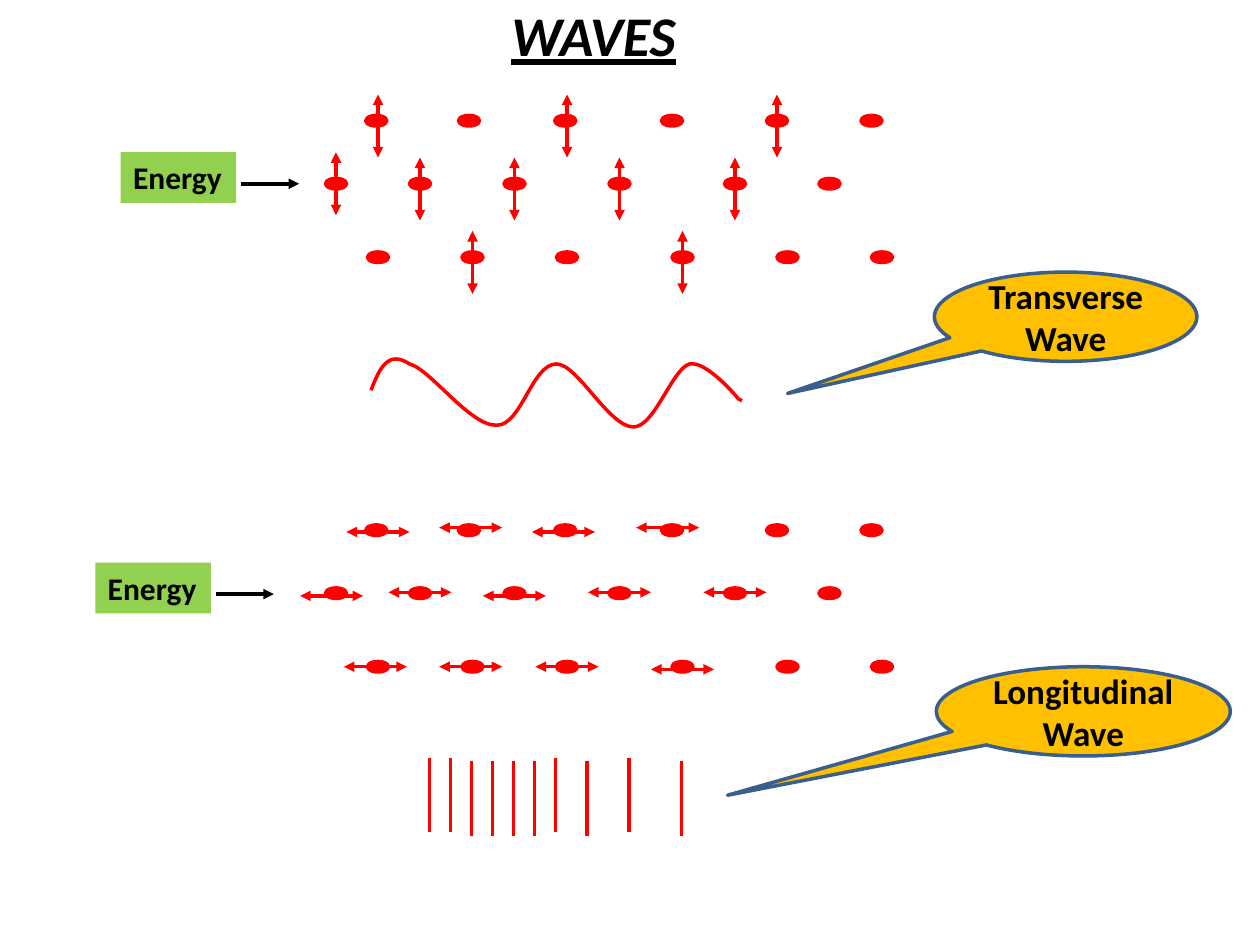
"""Build a slide comparing transverse and longitudinal waves."""
from lxml import etree
from pptx import Presentation
from pptx.dml.color import RGBColor
from pptx.enum.shapes import MSO_CONNECTOR, MSO_SHAPE
from pptx.enum.text import MSO_ANCHOR, PP_ALIGN
from pptx.oxml.ns import qn
from pptx.util import Pt

LINE = MSO_CONNECTOR.STRAIGHT
DOT, BOX, CALL = MSO_SHAPE.OVAL, MSO_SHAPE.RECTANGLE, MSO_SHAPE.OVAL_CALLOUT
TOP, MID = MSO_ANCHOR.TOP, MSO_ANCHOR.MIDDLE
LEFT, MIDDLE = PP_ALIGN.LEFT, PP_ALIGN.CENTER
HEX = {"red": "FF0000", "green": "92D050", "gold": "FFC000",
       "blue": "3A5F8C", "black": "000000"}
COLOR = {name: RGBColor.from_string(code) for name, code in HEX.items()}

prs = Presentation()
prs.slide_width, prs.slide_height = Pt(720), Pt(540)
slide = prs.slides.add_slide(prs.slide_layouts[5])
shapes = slide.shapes


def add_line(x1, y1, x2, y2, color, ends=()):
    line = shapes.add_connector(LINE, Pt(x1), Pt(y1), Pt(x2), Pt(y2))
    line.line.color.rgb = COLOR[color]
    line.line.width = Pt(2)
    for end in ends:
        etree.SubElement(line.line._get_or_add_ln(), qn(f"a:{end}"), type="triangle")
    etree.SubElement(line._element.spPr, qn("a:effectLst"))


def add_shape(kind, x, y, w, h, fill, edge=None, text="", size=18, align=LEFT, anchor=TOP):
    shape = shapes.add_shape(kind, Pt(x), Pt(y), Pt(w), Pt(h))
    shape.shadow.inherit = False
    shape.fill.solid()
    shape.fill.fore_color.rgb = COLOR[fill]
    if edge:
        shape.line.color.rgb = COLOR[edge]
        shape.line.width = Pt(2)
    else:
        shape.line.fill.background()
    if text:
        shape.text_frame.text = text
        shape.text_frame.vertical_anchor = anchor
        para = shape.text_frame.paragraphs[0]
        para.alignment = align
        para.font.name, para.font.size, para.font.bold = "Calibri", Pt(size), True
        para.font.color.rgb = COLOR["black"]
    return shape


rows = {69: (215, 268, 323, 384, 444, 498),
        105: (192, 240, 294, 354, 420, 474),
        147: (216, 270, 324, 390, 450, 504)}
for drop in (0, 234):
    for y, row in rows.items():
        for x in row:
            add_shape(DOT, x - 6, y + drop - 3, 12, 6, "red", "red")

for x, y in ((69, 87), (54.5, 321.5)):
    add_shape(BOX, x, y, 66, 29, "green", text="Energy")
    add_line(x + 69, y + 18, x + 102, y + 18, "black", ["tailEnd"])

both = ("headEnd", "tailEnd")
tall = {72: (216, 324, 444), 105: (192,), 108: (240, 294, 354, 420), 150: (270, 390)}
for y, row in tall.items():
    for x in row:
        add_line(x, y - 18, x, y + 18, "red", both)

wide = {301.5: (269, 381.5), 304: (216, 322), 338.5: (240, 354, 420),
        340.5: (189.5, 294), 381: (214.5, 269, 324), 382.5: (390,)}
for y, row in wide.items():
    for x in row:
        add_line(x - 18, y, x + 18, y, "red", both)

curve = [(216.7, 209.5), (222, 200), (234, 208), (246, 211), (269, 243.5),
         (283.5, 243), (297.5, 243), (304.5, 207.5), (317.5, 207.5),
         (330.5, 207.5), (348.5, 243.5), (361.5, 243.5), (374.5, 243.5),
         (384.5, 211), (394.5, 208.5), (404.5, 206), (422, 227.5), (422, 227.5)]
curve = [(211.7, 223), *curve, (424, 229)]
path = shapes.build_freeform(curve[0][0], curve[0][1], scale=Pt(1))
path.add_line_segments(curve[1:], close=False)
wave = path.convert_to_shape()
wave.shadow.inherit = False
wave.fill.background()
wave.line.color.rgb = COLOR["red"]
wave.line.width = Pt(2)
steps = list(wave._element.iter(qn("a:lnTo")))
for i in range(0, 18, 3):
    bend = etree.Element(qn("a:cubicBezTo"))
    steps[i].addprevious(bend)
    for step in steps[i:i + 3]:
        bend.append(step[0])
        step.getparent().remove(step)

bars = [245.5 + 12 * i for i in range(7)] + [335.5, 359.5, 389.5]
for i, x in enumerate(bars):
    y = 433 if i in (0, 1, 6, 8) else 435
    add_line(x, y, x, y + 42.5, "red")

calls = (("Transverse Wave", 534, 155.5, 150, -1.06, 0.86),
         ("Longitudinal Wave", 535, 381, 168, -1.21, 0.94))
for text, x, y, w, dx, dy in calls:
    call = add_shape(CALL, x, y, w, 51, "gold", "blue", text, 20, MIDDLE, MID)
    call.adjustments[0], call.adjustments[1] = dx, dy

title = shapes.title
title.left, title.top, title.width, title.height = Pt(285), Pt(-3.5), Pt(110), Pt(46)
title.text_frame.text = "WAVES"
title.text_frame.vertical_anchor = TOP
title.text_frame.word_wrap = False
para = title.text_frame.paragraphs[0]
para.alignment = LEFT
para.font.name, para.font.size = "Calibri", Pt(32)
para.font.bold = para.font.italic = para.font.underline = True
para.font.color.rgb = COLOR["black"]

prs.save("out.pptx")
